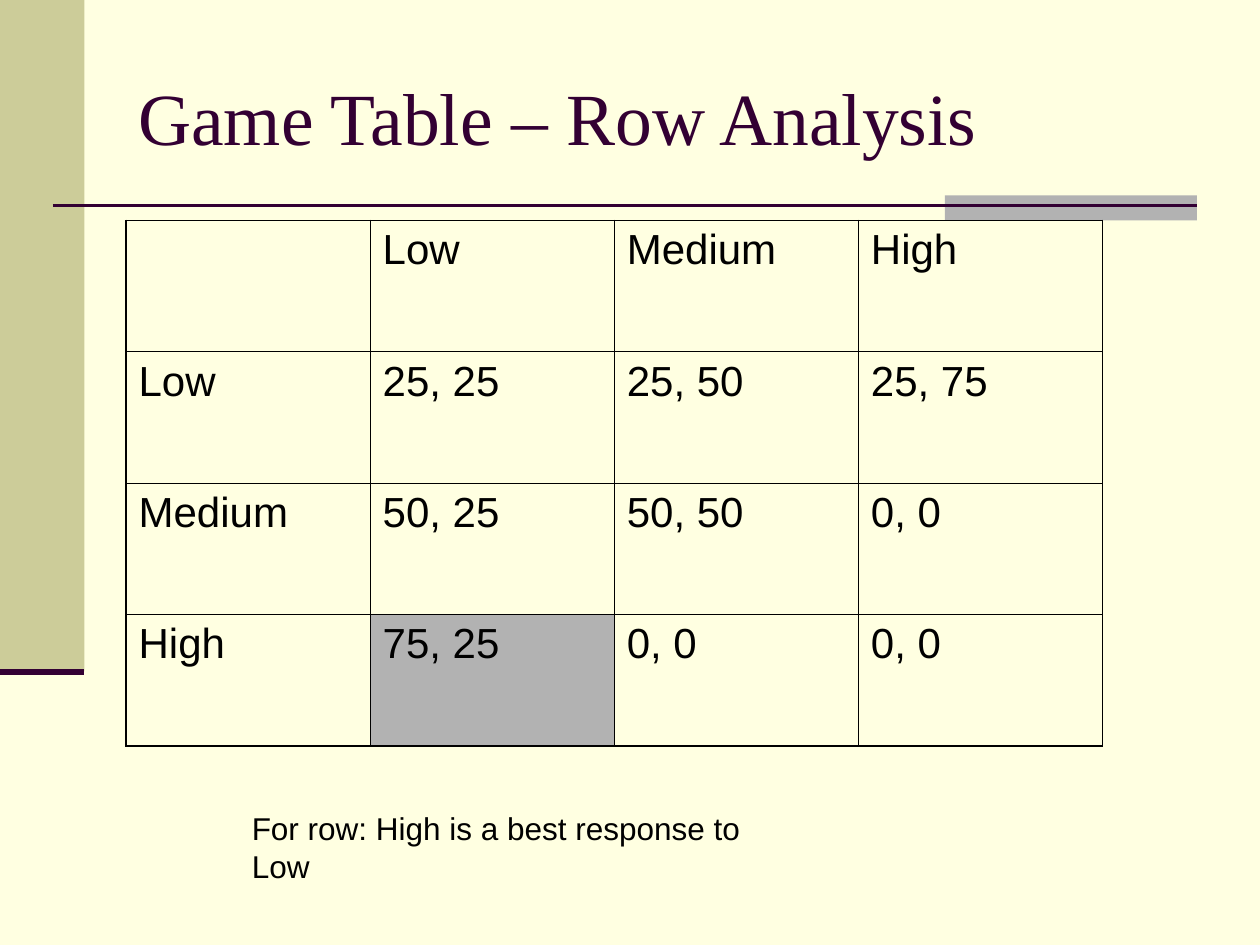
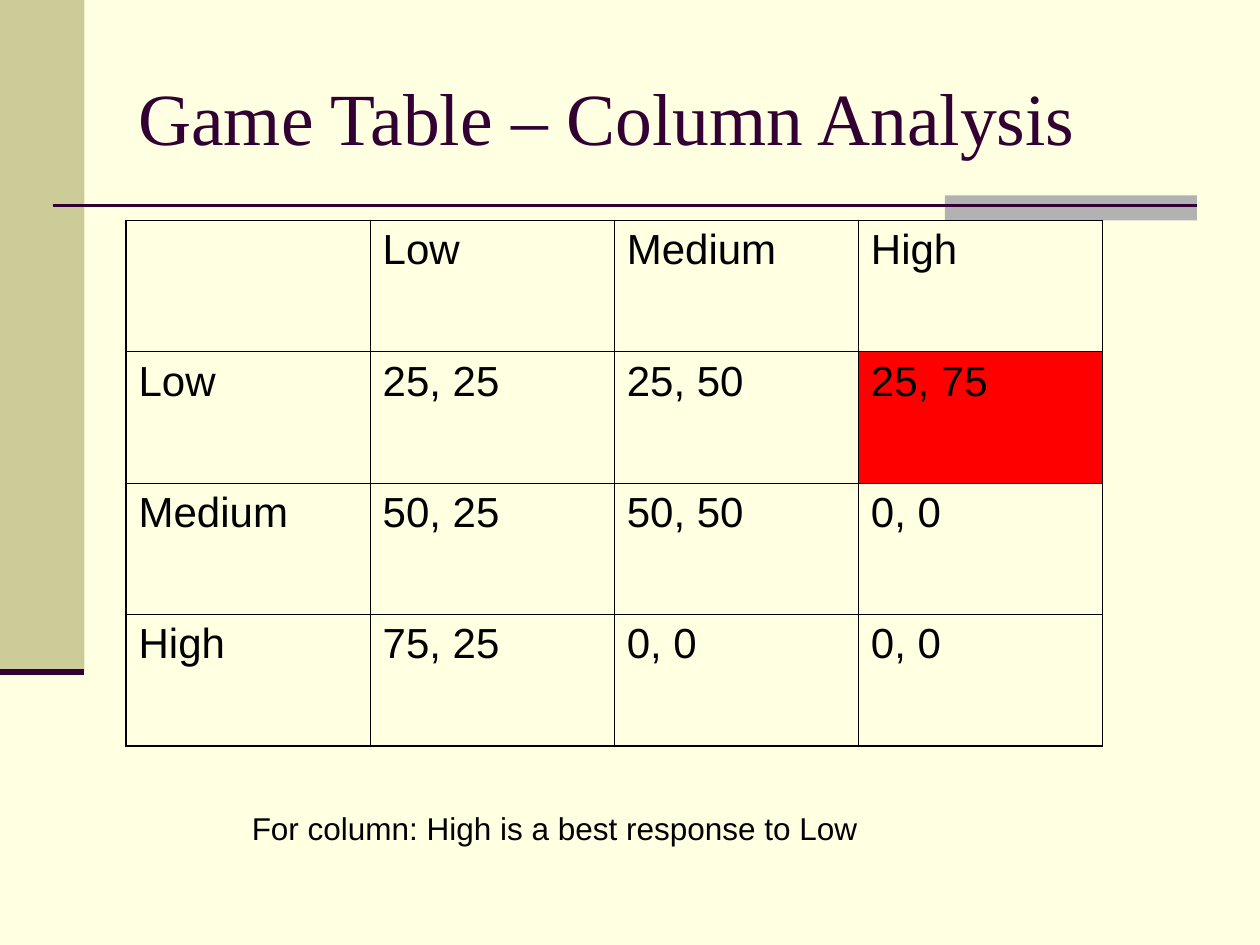
"""Build two slides that analyse a game table by row and by column."""
from lxml.etree import SubElement
from pptx import Presentation
from pptx.dml.color import RGBColor
from pptx.enum.shapes import MSO_CONNECTOR, MSO_SHAPE
from pptx.enum.text import MSO_ANCHOR
from pptx.oxml.ns import qn
from pptx.util import Inches, Pt

CREAM = RGBColor(0xFF, 0xFF, 0xE1)
KHAKI = RGBColor(0xCC, 0xCC, 0x99)
GREY = RGBColor(0xB2, 0xB2, 0xB2)
PLUM = RGBColor(0x33, 0x00, 0x33)
RED = RGBColor(0xFF, 0x00, 0x00)
BLACK = RGBColor(0x00, 0x00, 0x00)

GAME = [
    ["", "Low", "Medium", "High"],
    ["Low", "25, 25", "25, 50", "25, 75"],
    ["Medium", "50, 25", "50, 50", "0, 0"],
    ["High", "75, 25", "0, 0", "0, 0"],
]
SLIDES = [
    {"title": "Game Table – Row Analysis", "best": (3, 1), "color": GREY,
     "note": "For row: High is a best response to Low", "note_width": 4.6},
    {"title": "Game Table – Column Analysis", "best": (1, 3), "color": RED,
     "note": "For column: High is a best response to Low", "note_width": 5.01},
]
BANDS = [((0, 0, 0.67, 5.33), KHAKI), ((7.5, 1.55, 2, 0.2), GREY)]
RULES = [((0.42, 1.63, 9.5, 1.63), 1.5), ((0, 5.33, 0.67, 5.33), 3.5)]
TABLE_AREA = (1, 1.75, 7.75, 4.17)
INNER_LINE, OUTER_LINE = Pt(0.45), Pt(1.08)


def inches(values):
    return [Inches(value) for value in values]


def write(frame, text, size, font="Arial", color=BLACK):
    span = frame.paragraphs[0].add_run()
    span.text = text
    span.font.name = font
    span.font.size = Pt(size)
    span.font.color.rgb = color


def add_text(page, area, text, wrap=True, anchor=MSO_ANCHOR.TOP, **style):
    frame = page.shapes.add_textbox(*inches(area)).text_frame
    frame.word_wrap = wrap
    frame.vertical_anchor = anchor
    write(frame, text, **style)


def add_decoration(page):
    page.background.fill.solid()
    page.background.fill.fore_color.rgb = CREAM
    for area, color in BANDS:
        band = page.shapes.add_shape(MSO_SHAPE.RECTANGLE, *inches(area))
        band.shadow.inherit = False
        band.fill.solid()
        band.fill.fore_color.rgb = color
        band.line.fill.background()
    for ends, width in RULES:
        rule = page.shapes.add_connector(MSO_CONNECTOR.STRAIGHT, *inches(ends))
        rule.line.color.rgb = PLUM
        rule.line.width = Pt(width)
        SubElement(rule._element.spPr, qn("a:effectLst"))


def add_borders(cell, row, column):
    last = len(GAME) - 1
    outer_sides = {"L": column == 0, "R": column == last,
                   "T": row == 0, "B": row == last}
    properties = cell._tc.get_or_add_tcPr()
    for side, outer in outer_sides.items():
        width = OUTER_LINE if outer else INNER_LINE
        border = SubElement(properties, qn(f"a:ln{side}"), w=str(width))
        fill = SubElement(border, qn("a:solidFill"))
        SubElement(fill, qn("a:srgbClr"), val=str(BLACK))


def add_game_table(page, best, color):
    table = page.shapes.add_table(len(GAME), len(GAME[0]), *inches(TABLE_AREA)).table
    table.first_row = False
    table.horz_banding = False
    for row, values in enumerate(GAME):
        for column, value in enumerate(values):
            cell = table.cell(row, column)
            add_borders(cell, row, column)
            if (row, column) == best:
                cell.fill.solid()
                cell.fill.fore_color.rgb = color
            else:
                cell.fill.background()
            if value:
                write(cell.text_frame, value, size=24)


def main():
    deck = Presentation()
    deck.slide_width, deck.slide_height = Inches(10), Inches(7.5)
    for content in SLIDES:
        page = deck.slides.add_slide(deck.slide_layouts[6])
        add_decoration(page)
        add_text(page, (1, 0.3, 8.5, 1.25), content["title"], size=42,
                 font="Times New Roman", color=PLUM, anchor=MSO_ANCHOR.MIDDLE)
        add_game_table(page, content["best"], content["color"])
        add_text(page, (1.9, 6.37, content["note_width"], 0.4), content["note"],
                 size=18, wrap=False)
    deck.save("out.pptx")


if __name__ == "__main__":
    main()
